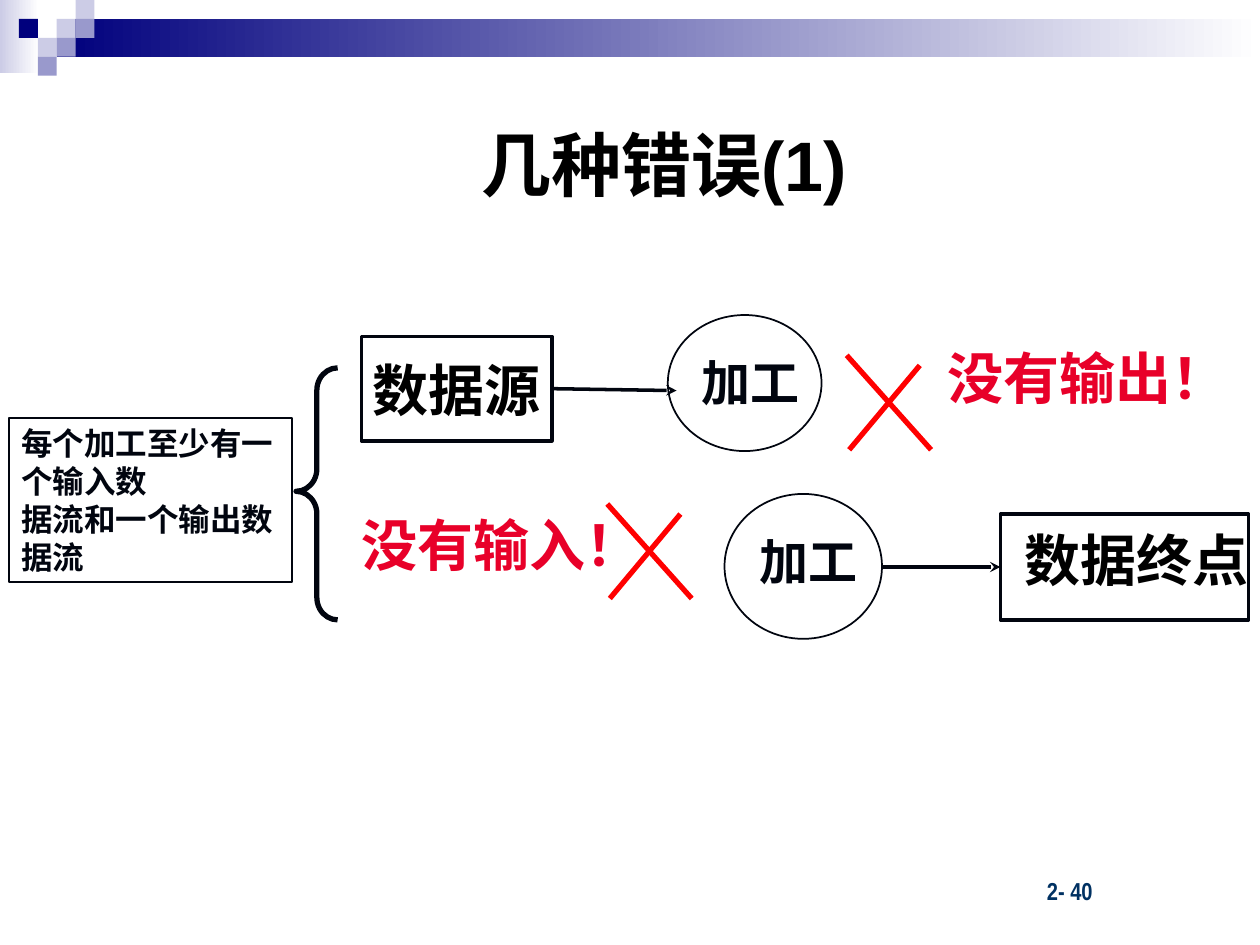
from dataclasses import dataclass

import pptx
import pptx.dml.color
import pptx.enum.shapes
import pptx.enum.text
import pptx.oxml
import pptx.oxml.ns
import pptx.util
from pptx.util import Inches

SHAPES = pptx.enum.shapes.MSO_SHAPE
ALIGN = pptx.enum.text.PP_ALIGN
ANCHOR = pptx.enum.text.MSO_ANCHOR


@dataclass(frozen=True)
class Theme:
    ink: str = "01050F"
    black: str = "000000"
    white: str = "FFFFFF"
    warning: str = "E80029"
    cross: str = "FF0000"
    page: str = "003162"
    navy: str = "00007D"
    lilac: str = "9999CC"
    pale: str = "CCCCE6"
    chinese: str = "Noto Sans CJK SC"
    latin: str = "Arial"
    narrow: str = "Arial Narrow"
    title_size: int = 40
    label_size: int = 32
    process_size: int = 28
    note_size: int = 18
    page_size: int = 14


THEME = Theme()


def rgb(color):
    return pptx.dml.color.RGBColor.from_string(color)


def write(shape, lines, size, color, font=THEME.chinese, align=ALIGN.LEFT,
          anchor=ANCHOR.TOP, wrap=True):
    frame = shape.text_frame
    frame.word_wrap = wrap
    frame.vertical_anchor = anchor
    for index, line in enumerate(lines):
        paragraph = frame.paragraphs[0] if index == 0 else frame.add_paragraph()
        paragraph.alignment = align
        run = paragraph.add_run()
        run.text = line
        run.font.size = pptx.util.Pt(size)
        run.font.bold = True
        run.font.name = font
        run.font.color.rgb = rgb(color)
        east_asian = pptx.oxml.parse_xml(
            f'<a:ea {pptx.oxml.ns.nsdecls("a")} typeface="{THEME.chinese}"/>')
        run.font._element.find(pptx.oxml.ns.qn("a:latin")).addnext(east_asian)


def add_text(slide, box, text, size, color, **style):
    shape = slide.shapes.add_textbox(*map(Inches, box))
    write(shape, [text], size, color, **style)


def add_outline(slide, kind, box, width, fill=None):
    shape = slide.shapes.add_shape(kind, *map(Inches, box))
    shape.shadow.inherit = False
    if fill:
        shape.fill.solid()
        shape.fill.fore_color.rgb = rgb(fill)
    else:
        shape.fill.background()
    shape.line.color.rgb = rgb(THEME.ink)
    shape.line.width = pptx.util.Pt(width)
    return shape


def add_block(slide, box, *colors):
    """Add a borderless rectangle: one colour is solid, two make a gradient."""
    shape = slide.shapes.add_shape(SHAPES.RECTANGLE, *map(Inches, box))
    shape.shadow.inherit = False
    shape.line.fill.background()
    if len(colors) == 1:
        shape.fill.solid()
        shape.fill.fore_color.rgb = rgb(colors[0])
        return
    shape.fill.gradient()
    shape.fill.gradient_angle = 0
    for stop, color, position in zip(shape.fill.gradient_stops, colors, (0, 1)):
        stop.color.rgb = rgb(color)
        stop.position = position


def add_line(slide, start, end, color, width):
    connector = slide.shapes.add_connector(
        pptx.enum.shapes.MSO_CONNECTOR.STRAIGHT, *map(Inches, start + end))
    connector.line.color.rgb = rgb(color)
    connector.line.width = pptx.util.Pt(width)
    effects = pptx.oxml.parse_xml(f'<a:effectLst {pptx.oxml.ns.nsdecls("a")}/>')
    connector._element.spPr.append(effects)
    return connector


def add_arrow(slide, start, end):
    arrow = add_line(slide, start, end, THEME.ink, 2)
    arrow.line._get_or_add_ln().append(pptx.oxml.parse_xml(
        f'<a:tailEnd {pptx.oxml.ns.nsdecls("a")} type="stealth"/>'))
    return arrow


def add_cross(slide, left, top):
    """Cross out a missing data flow with two unequal strokes."""
    for start, end in (((0, 0), (0.67, 0.75)), ((0.58, 0.08), (0.02, 0.75))):
        add_line(slide, (left + start[0], top + start[1]),
                 (left + end[0], top + end[1]), THEME.cross, 3)


def add_process(slide, circle, label):
    add_outline(slide, SHAPES.OVAL, circle, 1)
    add_text(slide, label, "加工", THEME.process_size, THEME.ink)


def add_header(slide):
    add_block(slide, (0, 0, 0.31, 0.58), THEME.pale, THEME.white)
    add_block(slide, (0.45, 0.15, 9.55, 0.3), THEME.navy, THEME.white)
    side = 0.15
    tiles = ((3, 1, THEME.pale), (4, 0, THEME.pale), (4, 1, THEME.lilac),
             (2, 2, THEME.pale), (1, 1, THEME.navy), (3, 2, THEME.lilac),
             (2, 3, THEME.lilac))
    for column, row, color in tiles:
        add_block(slide, (column * side, row * side, side, side), color)


def add_missing_output(slide):
    source = add_outline(slide, SHAPES.RECTANGLE, (2.87, 2.67, 1.51, 0.83), 2,
                         THEME.white)
    write(source, ["数据源"], THEME.label_size, THEME.black, align=ALIGN.CENTER,
          anchor=ANCHOR.MIDDLE, wrap=False)
    add_arrow(slide, (4.38, 3.08), (5.37, 3.1)).begin_connect(source, 3)
    add_process(slide, (5.3, 2.5, 1.22, 1.08), (5.47, 2.75, 1.11, 0.57))
    add_cross(slide, 6.72, 2.82)
    add_text(slide, (7.42, 2.68, 2.47, 0.63), "没有输出！",
             THEME.label_size, THEME.warning)


def add_missing_input(slide):
    add_text(slide, (2.77, 4, 2.57, 0.63), "没有输入！",
             THEME.label_size, THEME.warning)
    add_cross(slide, 4.82, 4)
    add_process(slide, (5.75, 3.92, 1.25, 1.15), (5.93, 4.17, 0.99, 0.57))
    sink = add_outline(slide, SHAPES.RECTANGLE, (7.94, 4.08, 1.97, 0.84), 2,
                       THEME.white)
    add_arrow(slide, (7, 4.5), (7.94, 4.5)).end_connect(sink, 1)
    add_text(slide, (8.03, 4.12, 2.07, 0.63), "数据终点",
             THEME.label_size, THEME.black)


def add_rule(slide):
    note = add_outline(slide, SHAPES.RECTANGLE, (0.07, 3.32, 2.25, 1.3), 1)
    write(note, ["每个加工至少有一个输入数", "据流和一个输出数据流"],
          THEME.note_size, THEME.ink)
    brace = add_outline(slide, SHAPES.LEFT_BRACE, (2.35, 2.92, 0.33, 2), 3)
    brace.adjustments[0] = 0.54
    brace.adjustments[1] = 0.49


def main():
    presentation = pptx.Presentation()
    presentation.slide_width = Inches(10)
    presentation.slide_height = Inches(7.5)
    slide = presentation.slides.add_slide(presentation.slide_layouts[6])
    add_header(slide)
    add_text(slide, (1.32, 0.67, 7.9, 1.25), "几种错误(1)", THEME.title_size,
             THEME.black, font=THEME.latin, align=ALIGN.CENTER,
             anchor=ANCHOR.MIDDLE)
    add_missing_output(slide)
    add_missing_input(slide)
    add_rule(slide)
    add_text(slide, (8.21, 6.9, 1.15, 0.33), "2- 40", THEME.page_size,
             THEME.page, font=THEME.narrow)
    presentation.save("out.pptx")


if __name__ == "__main__":
    main()
